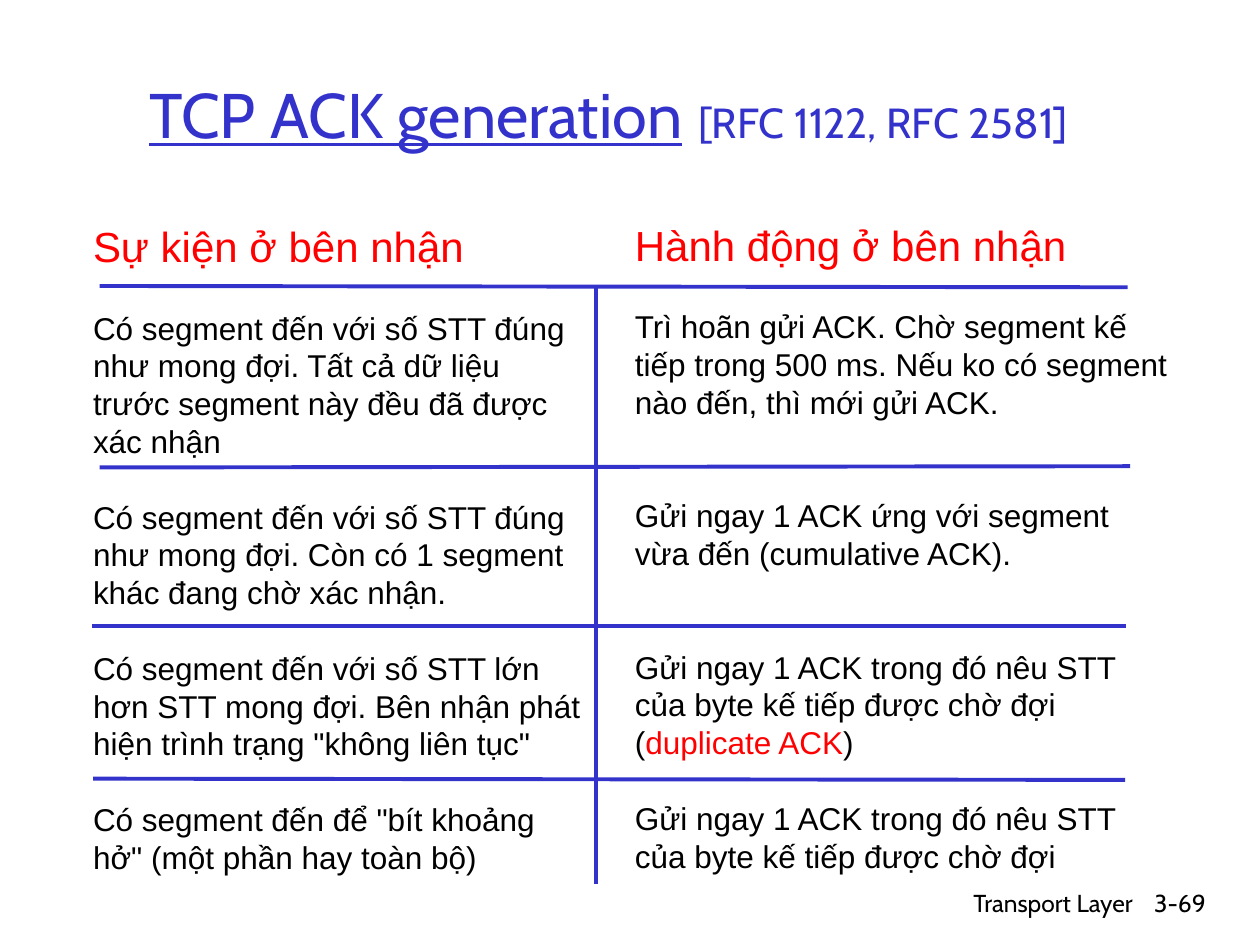
from dataclasses import dataclass

from lxml.etree import SubElement
from pptx import Presentation
from pptx.dml.color import RGBColor
from pptx.enum.shapes import MSO_CONNECTOR
from pptx.enum.text import MSO_ANCHOR, PP_ALIGN
from pptx.oxml.ns import qn
from pptx.util import Inches, Pt


@dataclass(frozen=True)
class Theme:
    blue: RGBColor = RGBColor(0x33, 0x33, 0xCC)
    red: RGBColor = RGBColor(0xFF, 0, 0)
    black: RGBColor = RGBColor(0, 0, 0)
    display_font: str = "Cabin"
    body_font: str = "Arial"
    title_size: float = 36
    title_gap_size: float = 40
    heading_size: float = 24
    body_size: float = 18
    footer_size: float = 14
    line_factor: float = 1.2
    rule_width: float = 2.25


THEME = Theme()
BODY_LINE = THEME.body_size * THEME.line_factor

# Each row is the number of blank lines above it, then its text pieces;
# pieces at odd positions are highlighted.
EVENTS = (
    "Sự kiện ở bên nhận",
    [
        (1, ["Có segment đến với số STT đúng như mong đợi. Tất cả dữ liệu "
             "trước segment này đều đã được xác nhận"]),
        (1, ["Có segment đến với số STT đúng như mong đợi. "
             "Còn có 1 segment khác đang chờ xác nhận."]),
        (1, ["Có segment đến với số STT lớn hơn STT mong đợi. "
             'Bên nhận phát hiện trình trạng "không liên tục"']),
        (1, ['Có segment đến để "bít khoảng hở" (một phần hay toàn bộ)']),
    ],
)
NEXT_BYTE_ACK = "Gửi ngay 1 ACK trong đó nêu STT của byte kế tiếp được chờ đợi"
ACTIONS = (
    "Hành động ở bên nhận",
    [
        (1, ["Trì hoãn gửi ACK. Chờ segment kế tiếp trong 500 ms. "
             "Nếu ko có segment nào đến, thì mới gửi ACK."]),
        (2, ["Gửi ngay 1 ACK ứng với segment vừa đến (cumulative ACK)."]),
        (2, [NEXT_BYTE_ACK + " (", "duplicate ACK", ")"]),
        (1, [NEXT_BYTE_ACK]),
    ],
)
RULES = [
    (0.79, 2.27, 8.95, 2.28),
    (0.79, 3.71, 8.97, 3.7),
    (0.73, 4.97, 8.94, 4.97),
    (0.74, 6.18, 8.93, 6.19),
    (4.73, 2.26, 4.73, 7.02),
]


def add_text_frame(slide, left, top, width, height):
    box = slide.shapes.add_textbox(*map(Inches, (left, top, width, height)))
    box.text_frame.word_wrap = True
    return box.text_frame


def add_run(paragraph, text, size, color, name, underline=False):
    run = paragraph.add_run()
    run.text = text
    formats = {"size": Pt(size), "name": name, "underline": underline}
    for attribute, value in formats.items():
        setattr(run.font, attribute, value)
    run.font.color.rgb = color


def add_title(slide):
    frame = add_text_frame(slide, 0.58, 0.25, 8.5, 1.25)
    frame.vertical_anchor = MSO_ANCHOR.MIDDLE
    title = frame.paragraphs[0]
    title.alignment = PP_ALIGN.CENTER
    for text, size, underline in (
        ("TCP ACK generation", THEME.title_size, True),
        (" ", THEME.title_gap_size, False),
        ("[RFC 1122, RFC 2581]", THEME.heading_size, False),
    ):
        add_run(title, text, size, THEME.blue, THEME.display_font, underline)


def add_column(slide, position, heading, rows):
    frame = add_text_frame(slide, *position)
    header = frame.paragraphs[0]
    header.line_spacing = Pt(THEME.heading_size * THEME.line_factor)
    add_run(header, heading, THEME.heading_size, THEME.red, THEME.body_font)
    for blank_lines, pieces in rows:
        row = frame.add_paragraph()
        row.line_spacing = Pt(BODY_LINE)
        row.space_before = Pt(blank_lines * BODY_LINE)
        for index, piece in enumerate(pieces):
            color = THEME.red if index % 2 else THEME.black
            add_run(row, piece, THEME.body_size, color, THEME.body_font)


def add_rule(slide, ends):
    rule = slide.shapes.add_connector(MSO_CONNECTOR.STRAIGHT, *map(Inches, ends))
    rule.line.color.rgb = THEME.blue
    rule.line.width = Pt(THEME.rule_width)
    SubElement(rule._element.spPr, qn("a:effectLst"))


def add_footer(slide, text, left, width):
    footer = add_text_frame(slide, left, 7, width, 0.5).paragraphs[0]
    footer.alignment = PP_ALIGN.RIGHT
    add_run(footer, text, THEME.footer_size, THEME.black, THEME.display_font)


def main():
    deck = Presentation()
    deck.slide_width, deck.slide_height = Inches(10), Inches(7.5)
    slide = deck.slides.add_slide(deck.slide_layouts[6])
    add_footer(slide, "Transport Layer", 5.92, 3.17)
    add_footer(slide, "3-69", 8.93, 0.74)
    add_title(slide)
    add_column(slide, (0.64, 1.7, 4.1, 5.6), *EVENTS)
    add_column(slide, (4.94, 1.69, 4.45, 5.6), *ACTIONS)
    for ends in RULES:
        add_rule(slide, ends)
    deck.save("out.pptx")


if __name__ == "__main__":
    main()
